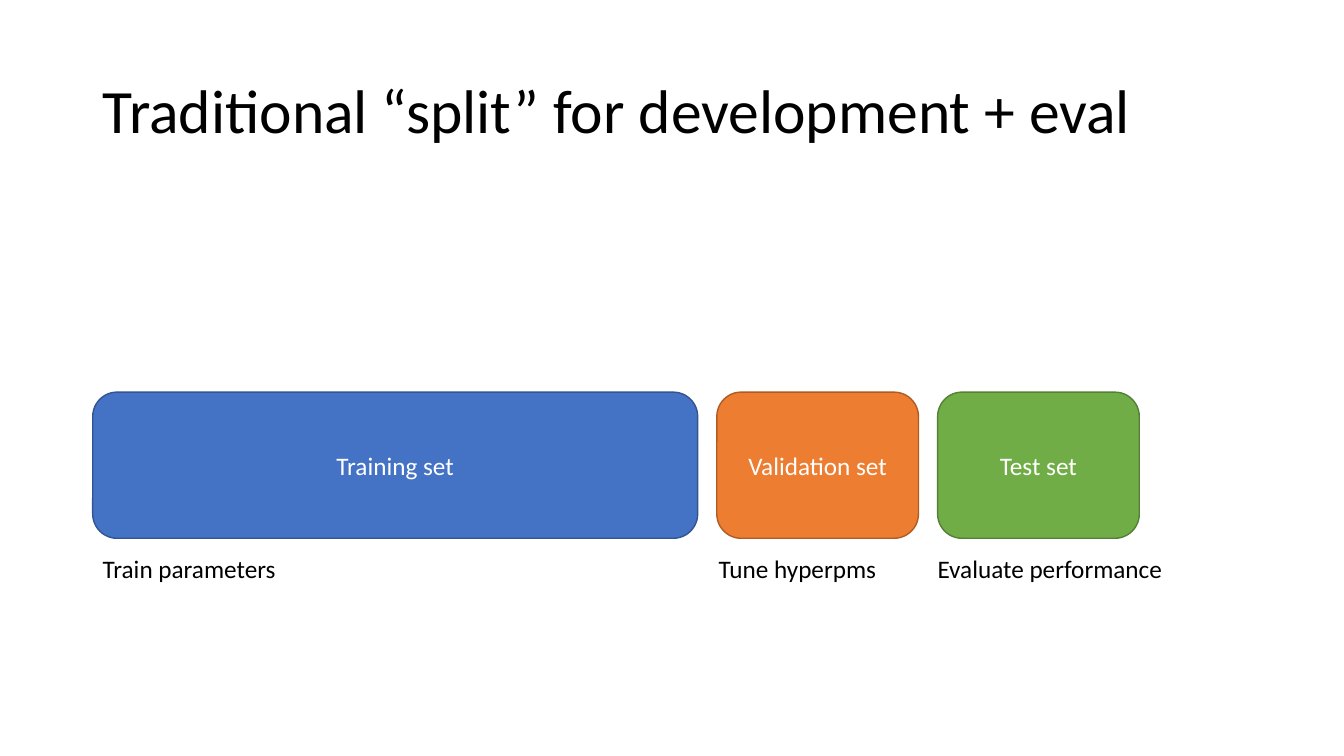
from dataclasses import dataclass

from lxml.etree import SubElement
from pptx import Presentation
from pptx.dml.color import RGBColor
from pptx.enum.shapes import MSO_SHAPE
from pptx.enum.text import MSO_ANCHOR, MSO_AUTO_SIZE, PP_ALIGN
from pptx.oxml.ns import qn
from pptx.util import Inches, Pt

LEFT = 0.92
GAP = 0.19
BLOCK_TOP = 3.89
BLOCK_HEIGHT = 1.45


@dataclass
class DataSplit:
    name: str
    purpose: str
    width: float
    fill: str
    outline: str


SPLITS = [
    DataSplit("Training set", "Train parameters", 6, "4472C4", "325491"),
    DataSplit("Validation set", "Tune hyperpms", 2, "ED7D31", "AF5C24"),
    DataSplit("Test set", "Evaluate performance", 2, "70AD47", "538035"),
]
PURPOSE_TABS = [6.11, 8.28]


def color(value: str) -> RGBColor:
    return RGBColor.from_string(value)


def write(frame, text: str, size: float, ink: str, align: PP_ALIGN) -> None:
    frame.text = text
    frame.word_wrap = True
    paragraph = frame.paragraphs[0]
    paragraph.alignment = align
    for span in paragraph.runs:
        span.font.name = "Calibri"
        span.font.size = Pt(size)
        span.font.color.rgb = color(ink)


def add_title(page, text: str) -> None:
    title = page.shapes.title
    title.left, title.top = Inches(LEFT), Inches(0.4)
    title.width, title.height = Inches(11.5), Inches(1.45)
    frame = title.text_frame
    write(frame, text, 44, "000000", PP_ALIGN.LEFT)
    frame.auto_size = MSO_AUTO_SIZE.NONE
    frame.vertical_anchor = MSO_ANCHOR.MIDDLE
    frame.paragraphs[0].line_spacing = 0.9


def add_block(page, split: DataSplit, left: float) -> None:
    block = page.shapes.add_shape(
        MSO_SHAPE.ROUNDED_RECTANGLE,
        Inches(left), Inches(BLOCK_TOP), Inches(split.width), Inches(BLOCK_HEIGHT),
    )
    block.shadow.inherit = False
    block.fill.solid()
    block.fill.fore_color.rgb = color(split.fill)
    block.line.color.rgb = color(split.outline)
    block.line.width = Pt(1)
    block.text_frame.vertical_anchor = MSO_ANCHOR.MIDDLE
    write(block.text_frame, split.name, 18, "FFFFFF", PP_ALIGN.CENTER)


def add_purposes(page, splits: list[DataSplit], tabs: list[float]) -> None:
    box = page.shapes.add_textbox(
        Inches(LEFT), Inches(5.44), Inches(10.82), Inches(0.4)
    )
    frame = box.text_frame
    purposes = "\t".join(split.purpose for split in splits)
    write(frame, purposes, 18, "000000", PP_ALIGN.LEFT)
    properties = frame.paragraphs[0]._p.get_or_add_pPr()
    tab_list = SubElement(properties, qn("a:tabLst"))
    for position in tabs:
        SubElement(tab_list, qn("a:tab"), pos=str(Inches(position)), algn="l")


deck = Presentation()
deck.slide_width, deck.slide_height = Inches(13.33), Inches(7.5)
page = deck.slides.add_slide(deck.slide_layouts[5])

add_title(page, "Traditional “split” for development + eval")
left = LEFT
for split in SPLITS:
    add_block(page, split, left)
    left += split.width + GAP
add_purposes(page, SPLITS, PURPOSE_TABS)

deck.save("out.pptx")
